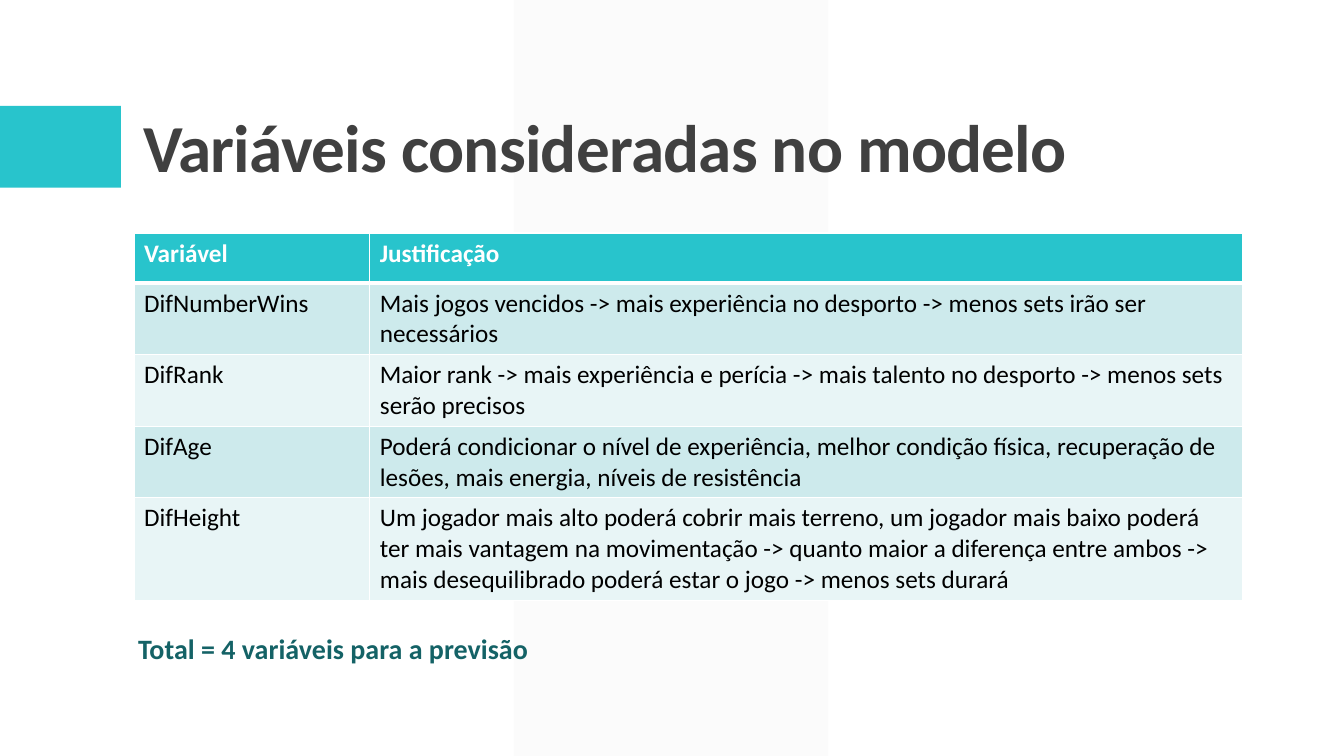
from dataclasses import dataclass

from lxml import etree
from pptx import Presentation
from pptx import util as u
from pptx.dml.color import RGBColor
from pptx.enum import shapes, text
from pptx.oxml.ns import qn

TITLE = "Variáveis consideradas no modelo"
TOTAL = "Total = 4 variáveis para a previsão"
VARIABLES = [
    ("Variável", "Justificação"),
    ("DifNumberWins", "Mais jogos vencidos -> mais experiência no desporto -> "
                      "menos sets irão ser necessários"),
    ("DifRank", "Maior rank -> mais experiência e perícia -> mais talento no "
                "desporto -> menos sets serão precisos"),
    ("DifAge", "Poderá condicionar o nível de experiência, melhor condição "
               "física, recuperação de lesões, mais energia, níveis de resistência"),
    ("DifHeight", "Um jogador mais alto poderá cobrir mais terreno, um jogador "
                  "mais baixo poderá ter mais vantagem na movimentação -> quanto "
                  "maior a diferença entre ambos -> mais desequilibrado poderá "
                  "estar o jogo -> menos sets durará"),
]
COLUMN_WIDTHS = [5.94, 22]
ROW_HEIGHTS = [1.26, 1.4, 1.73, 1.73, 2]


@dataclass(frozen=True)
class Theme:
    font: str = "Calibri"
    accent: str = "28C4CC"
    panel: str = "F2F2F2"
    title: str = "404040"
    total: str = "146266"
    white: str = "FFFFFF"
    black: str = "000000"
    bands: tuple = ("CDEAEC", "E8F5F6")
    title_size: int = 48
    total_size: int = 20
    table_size: int = 18


THEME = Theme()


def box(left, top, width, height):
    return [u.Cm(length) for length in (left, top, width, height)]


def write(frame, content, size, color, bold):
    frame.text = content
    font = frame.paragraphs[0].runs[0].font
    font.name, font.size, font.bold = THEME.font, u.Pt(size), bold
    font.color.rgb = RGBColor.from_string(color)


def paint(target, color):
    target.fill.solid()
    target.fill.fore_color.rgb = RGBColor.from_string(color)


def add_block(slide, kind, bounds, color):
    block = slide.shapes.add_shape(kind, *bounds)
    block.shadow.inherit = False
    block.line.fill.background()
    paint(block, color)
    return block


def add_borders(cell, widths):
    """Draw white borders; widths maps each side (L, R, T, B) to points."""
    properties = cell._tc.get_or_add_tcPr()
    for side, width in widths.items():
        line = etree.SubElement(properties, qn(f"a:ln{side}"), w=str(u.Pt(width)))
        fill = etree.SubElement(line, qn("a:solidFill"))
        etree.SubElement(fill, qn("a:srgbClr"), val=THEME.white)


def add_decoration(slide):
    panel = add_block(slide, shapes.MSO_SHAPE.PARALLELOGRAM,
                      box(12.95, 0, 7.92, 19.05), THEME.panel)
    panel.adjustments[0] = 0
    color = panel.fill._xPr.find(qn("a:solidFill"))[0]
    etree.SubElement(color, qn("a:alpha"), val="30000")
    add_block(slide, shapes.MSO_SHAPE.RECTANGLE,
              box(0, 2.67, 3.05, 2.06), THEME.accent)


def add_title(slide):
    title = slide.shapes.title
    title.element.getparent().append(title.element)
    title.left, title.top, title.width, title.height = box(3.35, 0.79, 27.94, 4.04)
    frame = title.text_frame
    write(frame, TITLE, THEME.title_size, THEME.title, True)
    frame.auto_size = text.MSO_AUTO_SIZE.NONE
    frame.vertical_anchor = text.MSO_ANCHOR.BOTTOM
    paragraph = frame.paragraphs[0]
    paragraph.alignment = text.PP_ALIGN.LEFT
    paragraph.line_spacing = 0.9
    paragraph.runs[0].font._element.set("spc", "-50")


def add_variables_table(slide):
    bounds = box(3.38, 5.87, sum(COLUMN_WIDTHS), sum(ROW_HEIGHTS))
    table = slide.shapes.add_table(len(VARIABLES), len(COLUMN_WIDTHS), *bounds).table
    for column, width in zip(table.columns, COLUMN_WIDTHS):
        column.width = u.Cm(width)
    for index, (row, contents) in enumerate(zip(table.rows, VARIABLES)):
        row.height = u.Cm(ROW_HEIGHTS[index])
        header = index == 0
        background = THEME.accent if header else THEME.bands[(index - 1) % 2]
        borders = {"L": 1, "R": 1, "T": 3 if index == 1 else 1, "B": 3 if header else 1}
        for cell, content in zip(row.cells, contents):
            write(cell.text_frame, content, THEME.table_size,
                  THEME.white if header else THEME.black, header)
            add_borders(cell, borders)
            paint(cell, background)


def add_total(slide):
    frame = slide.shapes.add_textbox(*box(3.23, 15.8, 11.28, 1.11)).text_frame
    frame.word_wrap = True
    write(frame, TOTAL, THEME.total_size, THEME.total, True)


def main():
    presentation = Presentation()
    presentation.slide_width, presentation.slide_height = u.Cm(33.87), u.Cm(19.05)
    slide = presentation.slides.add_slide(presentation.slide_layouts[5])
    add_decoration(slide)
    add_title(slide)
    add_variables_table(slide)
    add_total(slide)
    presentation.save("out.pptx")


if __name__ == "__main__":
    main()
